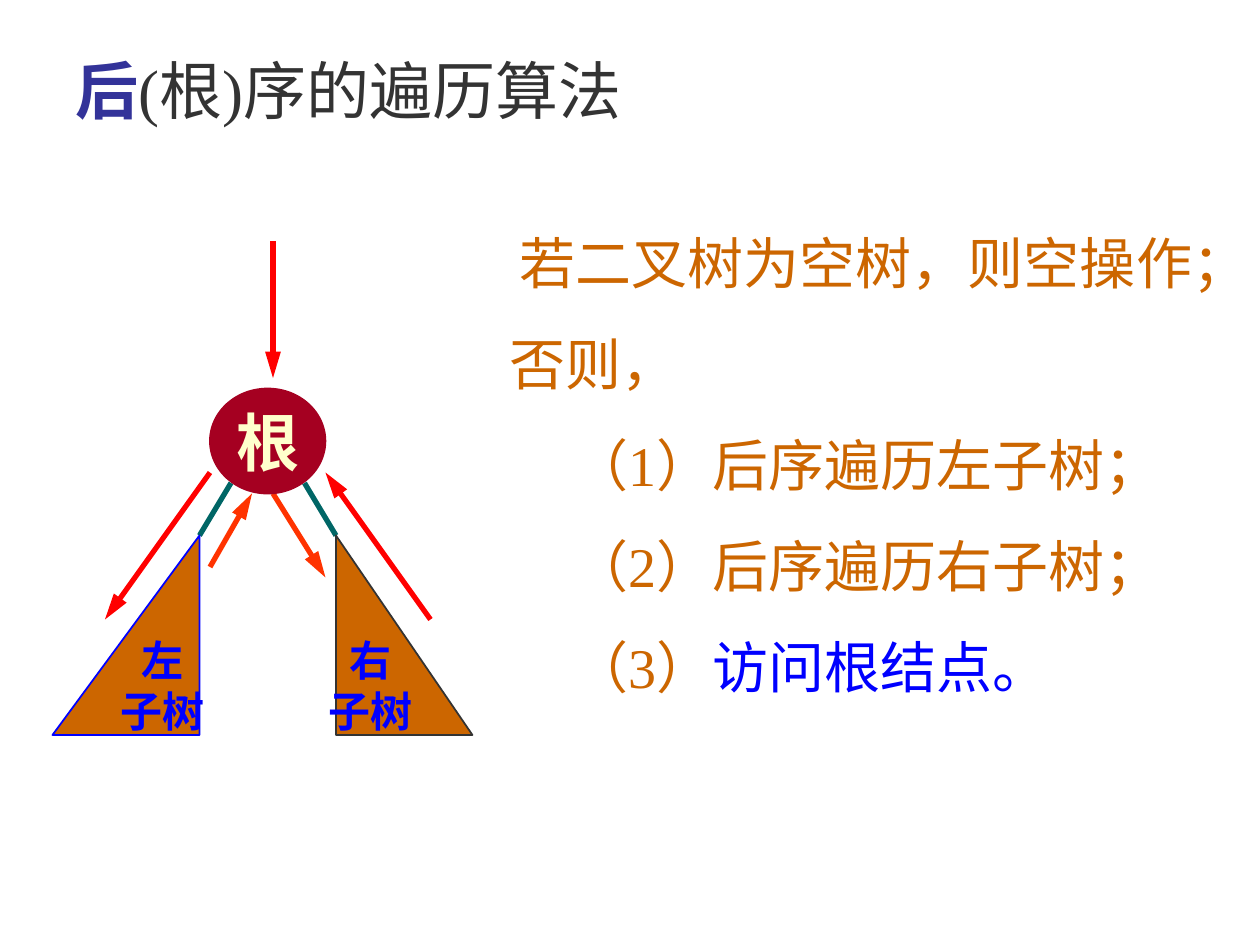
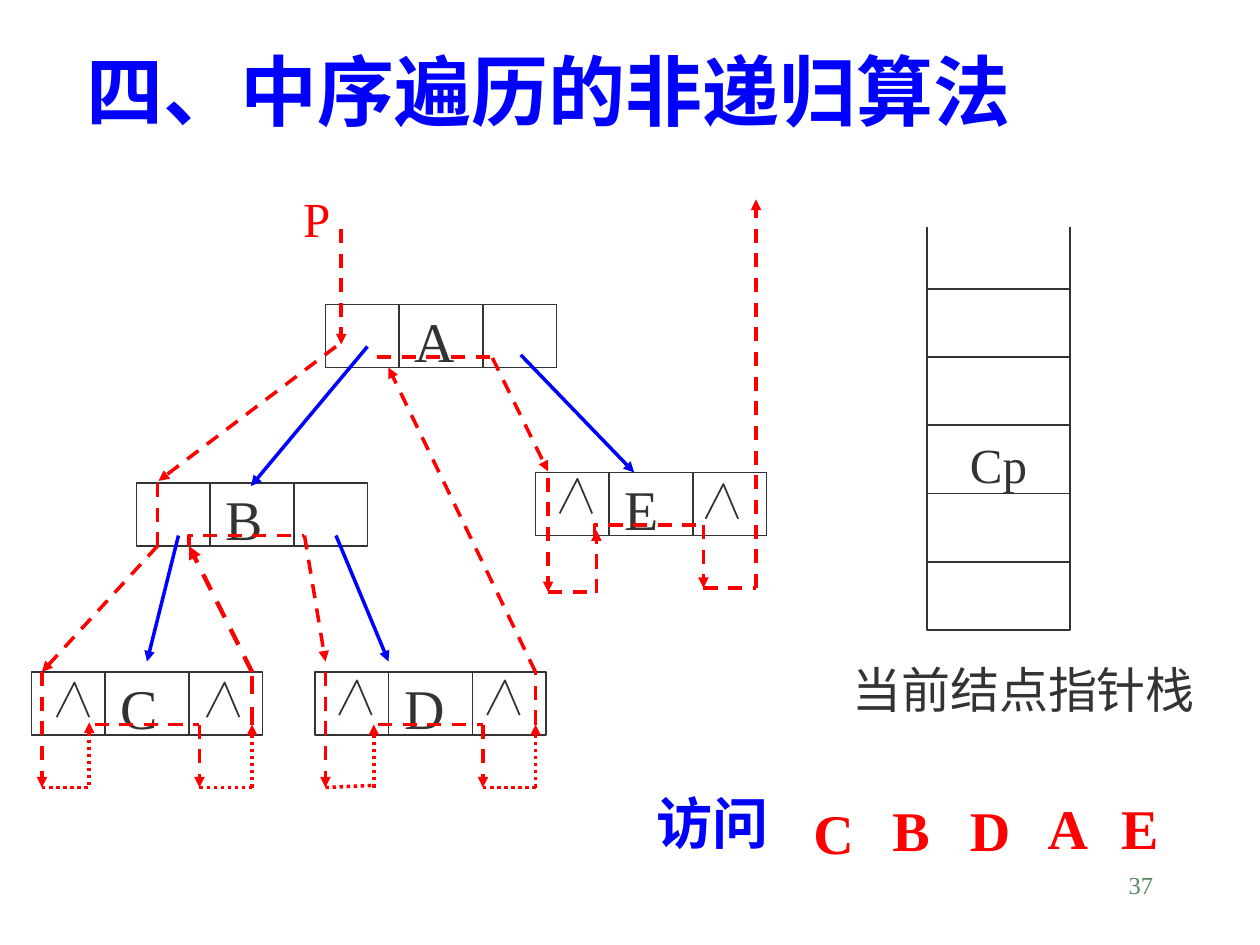
from dataclasses import dataclass

from pptx import Presentation
from pptx.dml.color import RGBColor
from pptx.enum import dml, shapes, text
from pptx.oxml import parse_xml
from pptx.oxml.ns import nsdecls, qn
from pptx.util import Pt

PX = 7620  # 120 px to the inch


@dataclass(frozen=True)
class Theme:
    font: str = "Times New Roman"
    ink: str = "333333"
    navy: str = "333399"
    blue: str = "0000FF"
    red: str = "FF0000"
    orange: str = "FF3300"
    brown: str = "CC6600"
    teal: str = "006666"
    crimson: str = "A50021"
    cream: str = "FFFFCC"
    green: str = "578963"
    heading: int = 44
    subheading: int = 36
    body: int = 32
    caption: int = 28
    small: int = 24
    number: int = 14


THEME = Theme()
LEFT, CENTER, RIGHT = text.PP_ALIGN.LEFT, text.PP_ALIGN.CENTER, text.PP_ALIGN.RIGHT
DASH, DOT = dml.MSO_LINE.DASH, dml.MSO_LINE.ROUND_DOT

# Post-order slide: spans are (text, colour, bold); segments are x1, y1, x2, y2
POST_TITLE = [("后", THEME.navy, True), ("(根)序的遍历算法", THEME.ink, False)]
POST_STEPS = [  # indent, spans
    (10, [("若二叉树为空树，则空操作；", THEME.brown, False)]),
    (0, [("否则，", THEME.brown, False)]),
    (60, [("（1）后序遍历左子树；", THEME.brown, False)]),
    (60, [("（2）后序遍历右子树；", THEME.brown, False)]),
    (60, [("（3）", THEME.brown, False), ("访问根结点。", THEME.blue, False)]),
]
POST_LINES = [  # colour, arrow, segments
    (THEME.red, True, [(260, 230, 260, 360), (200, 450, 100, 590), (410, 590, 310, 450)]),
    (THEME.teal, False, [(220, 460, 190, 510), (290, 460, 320, 510)]),
    (THEME.orange, True, [(200, 540, 240, 470), (260, 470, 310, 550)]),
]
SUBTREES = [  # lines, frame, apex, outline
    (["左", "子树"], (50, 510, 140, 190), 1, THEME.blue),
    (["右", "子树"], (320, 510, 130, 190), 0, THEME.ink),
]

# In-order slide
IN_TITLE = [("四、中序遍历的非递归算法", THEME.blue, True)]
NODES = {"A": (310, 290), "B": (130, 460), "C": (30, 640), "D": (300, 640), "E": (510, 450)}
NODE_WIDTH, NODE_HEIGHT, DIVIDERS = 220, 60, (70, 150)
NULL_MARKS = [(54, 650), (197, 650), (323, 648), (464, 648), (533, 456), (672, 461)]
WALK_LINES = [  # colour, width, dash, arrow, segments
    (THEME.blue, 2, None, True, [
        (350, 330, 239, 463), (170, 510, 140, 630), (320, 510, 370, 630),
        (496, 338, 604, 450)]),
    (THEME.red, 2, DASH, True, [
        (325, 218, 325, 328), (320, 330, 151, 458), (150, 520, 40, 640),
        (40, 640, 40, 750), (190, 690, 190, 750), (290, 510, 310, 630),
        (310, 640, 310, 750), (460, 690, 460, 750), (510, 640, 370, 350),
        (469, 341, 522, 449), (522, 455, 522, 564), (568, 565, 568, 505),
        (670, 500, 670, 560), (720, 560, 720, 190)]),
    (THEME.red, 2, DASH, False, [
        (150, 460, 150, 520), (90, 690, 190, 690), (360, 690, 460, 690),
        (510, 690, 510, 640), (359, 340, 472, 340), (522, 564, 568, 564),
        (670, 560, 720, 560)]),
    (THEME.red, 2.5, DASH, True, [(240, 640, 180, 520)]),
    (THEME.red, 2.5, DASH, False, [(240, 690, 240, 640)]),
    (THEME.red, 2, DOT, True, [
        (85, 748, 85, 688), (240, 750, 240, 690), (356, 750, 356, 690),
        (510, 750, 510, 690)]),
    (THEME.red, 2, DOT, False, [
        (40, 750, 85, 750), (190, 750, 240, 750), (310, 750, 355, 748),
        (460, 750, 510, 750)]),
]
WALK_CORNERS = [[(180, 520), (180, 510), (290, 510)], [(566, 510), (566, 500), (670, 500)]]
STACK_LEFT, STACK_RIGHT, STACK_TOP, STACK_BOTTOM, STACK_STEP = 883, 1019, 216, 600, 65
VISITS = [("C", 763, 749), ("B", 838, 746), ("D", 912, 746), ("A", 986, 744), ("E", 1056, 744)]
LABELS = [  # text, frame, size, colour, bold, alignment
    ("P", (277, 168, 72, 68), THEME.caption, THEME.red, False, LEFT),
    ("Cp", (912, 403, 118, 68), THEME.caption, THEME.ink, False, LEFT),
    ("当前结点指针栈", (800, 617, 400, 68), THEME.caption, THEME.ink, False, LEFT),
    ("访问", (613, 739, 157, 76), THEME.body, THEME.blue, True, LEFT),
    ("37", (860, 820, 250, 60), THEME.number, THEME.green, False, RIGHT),
]


def emu(lengths):
    return [round(length * PX) for length in lengths]


def rgb(colour):
    return RGBColor.from_string(colour)


def write(para, spans, size, align=LEFT):
    """Fill a paragraph with (text, colour, bold) spans."""
    para.alignment = align
    for words, colour, bold in spans:
        span = para.add_run()
        span.text = words
        span.font.name = THEME.font
        span.font.size = Pt(size)
        span.font.bold = bold
        span.font.color.rgb = rgb(colour)


def place(box, frame):
    box.left, box.top, box.width, box.height = emu(frame)


def fit_text(box):
    frame = box.text_frame
    frame.word_wrap = False
    frame.auto_size = text.MSO_AUTO_SIZE.SHAPE_TO_FIT_TEXT
    frame.vertical_anchor = text.MSO_ANCHOR.TOP
    return frame


def add_title(page, spans, size, frame):
    title = page.shapes.title
    place(title, frame)
    write(fit_text(title).paragraphs[0], spans, size)


def add_label(page, words, frame, size, colour, bold=False, align=LEFT):
    box = page.shapes.add_textbox(*emu(frame))
    box.text_frame.word_wrap = True
    box.text_frame.margin_top = round((6 + size * 0.18) * PX)
    write(box.text_frame.paragraphs[0], [(words, colour, bold)], size, align)


def style_line(line, colour, width, dash=None):
    line.color.rgb = rgb(colour)
    line.width = Pt(width)
    if dash:
        line.dash_style = dash


def add_lines(page, segments, colour, width, dash=None, arrow=False, head="med"):
    for segment in segments:
        line = page.shapes.add_connector(shapes.MSO_CONNECTOR.STRAIGHT, *emu(segment))
        style_line(line.line, colour, width, dash)
        properties = line._element.spPr
        if arrow:
            properties.find(qn("a:ln")).append(parse_xml(
                f'<a:tailEnd {nsdecls("a")} type="triangle" w="med" len="{head}"/>'))
        properties.append(parse_xml(f'<a:effectLst {nsdecls("a")}/>'))


def add_outline(page, points, colour, width, dash=None):
    builder = page.shapes.build_freeform(*points[0], scale=PX)
    builder.add_line_segments(points[1:], close=False)
    outline = builder.convert_to_shape()
    outline.shadow.inherit = False
    outline.fill.background()
    style_line(outline.line, colour, width, dash)


def add_shape(page, kind, frame, outline, fill=None):
    shape = page.shapes.add_shape(kind, *emu(frame))
    shape.shadow.inherit = False
    if fill:
        shape.fill.solid()
        shape.fill.fore_color.rgb = rgb(fill)
    else:
        shape.fill.background()
    style_line(shape.line, outline, 1)
    return shape


def write_centred(shape, lines, size, colour):
    frame = shape.text_frame
    frame.word_wrap = False
    frame.vertical_anchor = text.MSO_ANCHOR.MIDDLE
    for index, words in enumerate(lines):
        para = frame.add_paragraph() if index else frame.paragraphs[0]
        write(para, [(words, colour, True)], size, CENTER)


def add_steps(page):
    body = page.placeholders[1]
    place(body, (473, 180, 727, 492))
    frame = fit_text(body)
    for index, (indent, spans) in enumerate(POST_STEPS):
        para = frame.add_paragraph() if index else frame.paragraphs[0]
        para.line_spacing = 1.5
        para.space_before = Pt(0)
        properties = para._p.get_or_add_pPr()
        properties.set("marL", str(indent * PX))
        properties.set("indent", "0")
        properties.append(parse_xml(f'<a:buNone {nsdecls("a")}/>'))
        write(para, spans, THEME.body)


def build_post_order(deck):
    page = deck.slides.add_slide(deck.slide_layouts[1])
    add_title(page, POST_TITLE, THEME.subheading, (60, 43, 760, 84))
    for colour, arrow, segments in POST_LINES:
        add_lines(page, segments, colour, 3, arrow=arrow, head="lg")
    root = add_shape(page, shapes.MSO_SHAPE.OVAL, (200, 370, 110, 100),
                     THEME.crimson, THEME.crimson)
    write_centred(root, ["根"], THEME.subheading, THEME.cream)
    for lines, frame, apex, outline in SUBTREES:
        subtree = add_shape(page, shapes.MSO_SHAPE.ISOSCELES_TRIANGLE, frame,
                            outline, THEME.brown)
        subtree.adjustments[0] = apex
        write_centred(subtree, lines, THEME.small, THEME.blue)
    add_steps(page)


def add_node(page, name, left, top):
    add_label(page, name, (left + 73, top - 10, 97, 76), THEME.body, THEME.ink)
    add_shape(page, shapes.MSO_SHAPE.RECTANGLE, (left, top, NODE_WIDTH, NODE_HEIGHT), THEME.ink)
    add_lines(page, [(left + x, top, left + x, top + NODE_HEIGHT) for x in DIVIDERS],
              THEME.ink, 1)


def add_stack(page):
    add_outline(page, [(STACK_LEFT, STACK_TOP), (STACK_LEFT, STACK_BOTTOM),
                       (STACK_RIGHT, STACK_BOTTOM), (STACK_RIGHT, STACK_TOP)], THEME.ink, 1)
    levels = [STACK_BOTTOM - STACK_STEP * row for row in range(1, 6)]
    add_lines(page, [(STACK_LEFT, y, STACK_RIGHT, y) for y in levels], THEME.ink, 1)


def build_in_order(deck):
    page = deck.slides.add_slide(deck.slide_layouts[5])
    add_title(page, IN_TITLE, THEME.heading, (70, 35, 934, 101))
    for name, (left, top) in NODES.items():
        add_node(page, name, left, top)
    for colour, width, dash, arrow, segments in WALK_LINES:
        add_lines(page, segments, colour, width, dash, arrow)
    for corner in WALK_CORNERS:
        add_outline(page, corner, THEME.red, 2, DASH)
    add_stack(page)
    for left, top in NULL_MARKS:
        add_outline(page, [(left, top + 33), (left + 17, top), (left + 31, top + 33)],
                    THEME.ink, 1)
    for label in LABELS:
        add_label(page, *label)
    for name, left, top in VISITS:
        add_label(page, name, (left, top, 118, 76), THEME.body, THEME.red, True)


def main():
    deck = Presentation()
    deck.slide_width, deck.slide_height = emu((1200, 900))
    build_post_order(deck)
    build_in_order(deck)
    deck.save("out.pptx")


if __name__ == "__main__":
    main()
